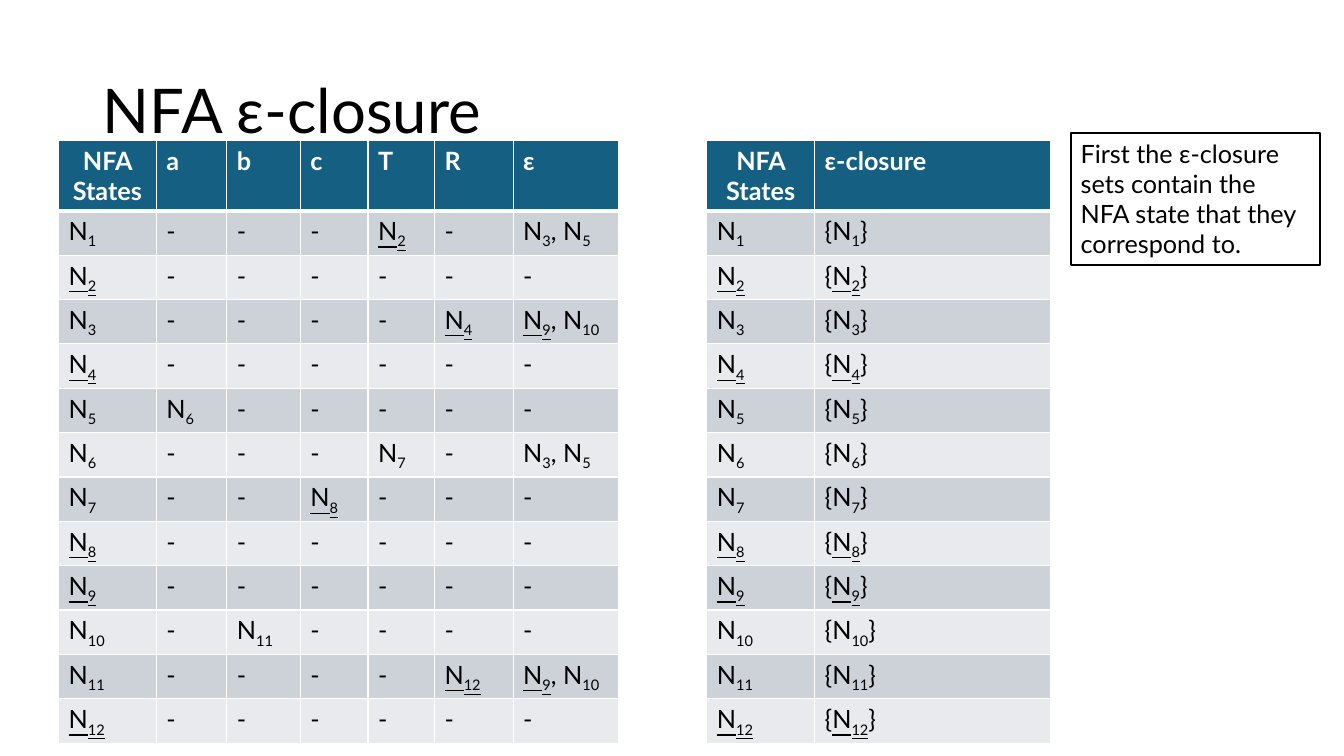
from itertools import takewhile

from lxml.etree import SubElement
from pptx import Presentation
from pptx.dml.color import RGBColor
from pptx.enum.shapes import MSO_SHAPE
from pptx.enum.text import MSO_ANCHOR, MSO_AUTO_SIZE, PP_ALIGN
from pptx.oxml.ns import qn
from pptx.util import Inches, Pt

FONT = "Lato"
COLORS = {
    "text": "000000",
    "white": "FFFFFF",
    "header": "156082",
    "odd_row": "CCD2D8",
    "even_row": "E8EAED",
}
STATES = range(1, 13)
ACCEPTING = {"2", "4", "8", "9", "12"}
SYMBOLS = ["a", "b", "c", "T", "R", "ε"]
TRANSITIONS = {
    1: {"T": "N2", "ε": "N3, N5"},
    3: {"R": "N4", "ε": "N9, N10"},
    5: {"a": "N6"},
    6: {"T": "N7", "ε": "N3, N5"},
    7: {"c": "N8"},
    10: {"b": "N11"},
    11: {"R": "N12", "ε": "N9, N10"},
}


def rgb(name):
    return RGBColor.from_string(COLORS[name])


def add_run(paragraph, text, size=18, color="text", bold=False):
    run = paragraph.add_run()
    run.text = text
    run.font.name = FONT
    run.font.size = Pt(size)
    run.font.bold = bold
    run.font.color.rgb = rgb(color)
    return run


def add_state_runs(paragraph, text):
    """Subscript each state's number and underline accepting states."""
    prefix, *states = text.split("N")
    if prefix:
        add_run(paragraph, prefix)
    for state in states:
        number = "".join(takewhile(str.isdigit, state))
        letter = add_run(paragraph, "N")
        subscript = add_run(paragraph, number)
        subscript.font._element.set("baseline", "-25000")
        if number in ACCEPTING:
            letter.font.underline = subscript.font.underline = True
        rest = state[len(number):]
        if rest:
            add_run(paragraph, rest)


def set_borders(cell, top, bottom):
    """Draw white cell borders; top and bottom are widths in points."""
    properties = cell._tc.get_or_add_tcPr()
    for side, width in (("L", 1), ("R", 1), ("T", top), ("B", bottom)):
        border = SubElement(properties, qn(f"a:ln{side}"), w=str(Pt(width)))
        fill = SubElement(border, qn("a:solidFill"))
        SubElement(fill, qn("a:srgbClr"), val=COLORS["white"])


def fill_cell(cell, color):
    cell.fill.solid()
    cell.fill.fore_color.rgb = rgb(color)


def add_state_table(slide, left, widths, headers, rows):
    header_height, row_height = 0.67, 0.4
    table = slide.shapes.add_table(
        len(rows) + 1, len(headers), Inches(left), Inches(1.39),
        Inches(sum(widths)), Inches(header_height + row_height * len(rows)),
    ).table
    for column, width in zip(table.columns, widths):
        column.width = Inches(width)
    for index, row in enumerate(table.rows):
        row.height = Inches(row_height if index else header_height)

    for column, header in enumerate(headers):
        cell = table.cell(0, column)
        set_borders(cell, top=1, bottom=3)
        fill_cell(cell, "header")
        paragraph = cell.text_frame.paragraphs[0]
        paragraph.alignment = PP_ALIGN.LEFT if column else PP_ALIGN.CENTER
        add_run(paragraph, header, color="white", bold=True)

    for index, values in enumerate(rows, start=1):
        for column, value in enumerate(values):
            cell = table.cell(index, column)
            set_borders(cell, top=3 if index == 1 else 1, bottom=1)
            fill_cell(cell, "odd_row" if index % 2 else "even_row")
            add_state_runs(cell.text_frame.paragraphs[0], value)


def set_title(slide, text):
    title = slide.shapes.title
    title.left, title.top = Inches(0.92), Inches(0.4)
    title.width, title.height = Inches(11.5), Inches(1.45)
    frame = title.text_frame
    frame.auto_size = MSO_AUTO_SIZE.NONE
    frame.vertical_anchor = MSO_ANCHOR.MIDDLE
    paragraph = frame.paragraphs[0]
    paragraph.alignment = PP_ALIGN.LEFT
    paragraph.line_spacing = 0.9
    add_run(paragraph, text, size=44)


def add_note_box(slide, text):
    note = slide.shapes.add_shape(
        MSO_SHAPE.RECTANGLE,
        Inches(10.62), Inches(1.32), Inches(2.47), Inches(1.31),
    )
    note.shadow.inherit = False
    note.fill.solid()
    note.fill.fore_color.rgb = rgb("white")
    note.line.color.rgb = rgb("text")
    note.line.width = Pt(1.5)
    frame = note.text_frame
    frame.word_wrap = True
    frame.auto_size = MSO_AUTO_SIZE.SHAPE_TO_FIT_TEXT
    frame.vertical_anchor = MSO_ANCHOR.TOP
    paragraph = frame.paragraphs[0]
    paragraph.alignment = PP_ALIGN.LEFT
    add_run(paragraph, text)


def main():
    presentation = Presentation()
    presentation.slide_width = Inches(13.33)
    presentation.slide_height = Inches(7.5)
    slide = presentation.slides.add_slide(presentation.slide_layouts[5])

    set_title(slide, "NFA ε-closure")
    transition_rows = [
        [f"N{state}"]
        + [TRANSITIONS.get(state, {}).get(symbol, "-") for symbol in SYMBOLS]
        for state in STATES
    ]
    add_state_table(
        slide, 0.58, [0.97, 0.7, 0.73, 0.67, 0.66, 0.78, 1.05],
        ["NFA States", *SYMBOLS], transition_rows,
    )
    closure_rows = [[f"N{state}", f"{{N{state}}}"] for state in STATES]
    add_state_table(
        slide, 7.01, [1.07, 2.34], ["NFA States", "ε-closure"], closure_rows
    )
    add_note_box(
        slide,
        "First the ε-closure sets contain the NFA state that they correspond to.",
    )
    presentation.save("out.pptx")


if __name__ == "__main__":
    main()
